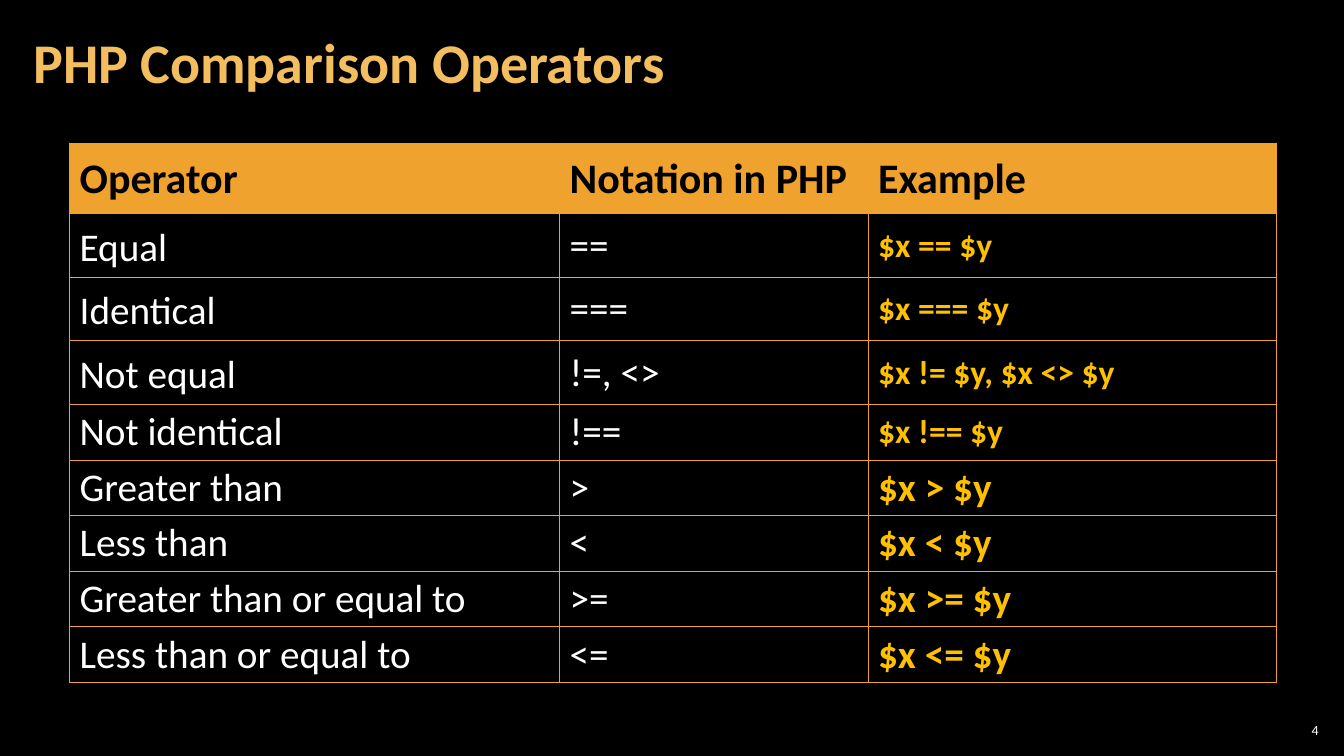
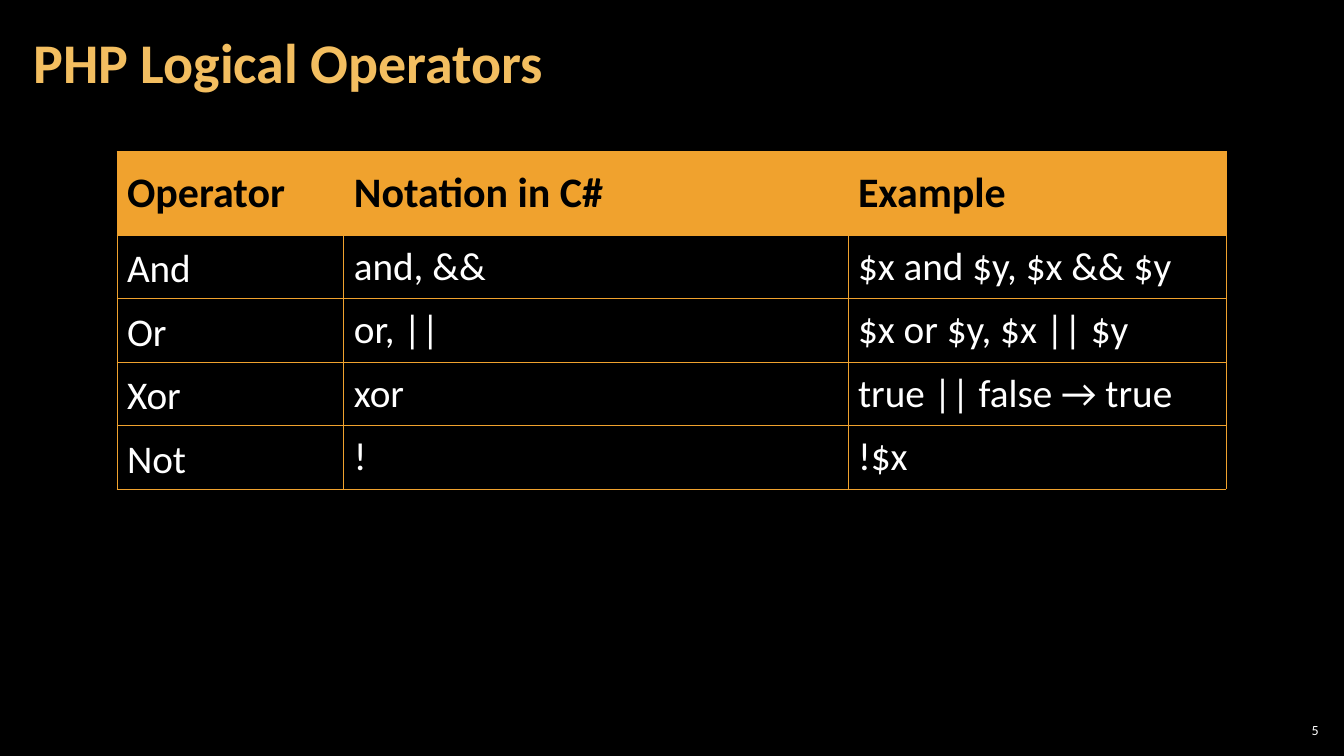
from pptx import Presentation
from pptx.dml.color import RGBColor as RGB
from pptx.enum.text import MSO_ANCHOR as Anchor, MSO_AUTO_SIZE as AutoSize, PP_ALIGN as Align
from pptx.oxml.ns import qn
from pptx.util import Inches, Pt
from lxml.etree import SubElement

FONT = "Calibri"
COLORS = {
    "background": "000000",
    "title": "F3BE60",
    "accent": "F0A22E",
    "header": "000000",
    "body": "FFFFFF",
    "code": "FFC000",
}
TITLE_BOX = (0.21, 0.04, 10.47, 1.21)
NUMBER_BOX = (12.65, 7.14, 0.47, 0.21)
TALL, SHORT = 0.63, 0.55

COMPARISON = {
    "number": 4,
    "title": "PHP Comparison Operators",
    "origin": (0.69, 1.42),
    "columns": (4.86, 3.06, 4.05),
    "header_height": 0.7,
    "tall_rows": 3,
    "small_examples": 4,
    "example_style": ("code", True),
    "rows": [
        ("Operator", "Notation in PHP", "Example"),
        ("Equal", "==", "$x == $y"),
        ("Identical", "===", "$x === $y"),
        ("Not equal", "!=, <>", "$x != $y, $x <> $y"),
        ("Not identical", "!==", "$x !== $y"),
        ("Greater than", ">", "$x > $y"),
        ("Less than", "<", "$x < $y"),
        ("Greater than or equal to", ">=", "$x >= $y"),
        ("Less than or equal to", "<=", "$x <= $y"),
    ],
}
LOGICAL = {
    "number": 5,
    "title": "PHP Logical Operators",
    "origin": (1.16, 1.5),
    "columns": (2.25, 5, 3.75),
    "header_height": 0.83,
    "tall_rows": 4,
    "small_examples": 0,
    "example_style": ("body", False),
    "rows": [
        ("Operator", "Notation in C#", "Example"),
        ("And", "and, &&", "$x and $y, $x && $y"),
        ("Or", "or, ||", "$x or $y, $x || $y"),
        ("Xor", "xor", "true || false → true"),
        ("Not", "!", "!$x"),
    ],
}


def color(name):
    return RGB.from_string(COLORS[name])


def format_run(p, size, color_name, bold=False):
    font = p.runs[0].font
    font.name, font.size, font.bold = FONT, Pt(size), bold
    font.color.rgb = color(color_name)


def set_frame(tf, side, edge):
    tf.word_wrap = True
    tf.auto_size = AutoSize.NONE
    tf.vertical_anchor = Anchor.MIDDLE
    tf.margin_left = tf.margin_right = Inches(side)
    tf.margin_top = tf.margin_bottom = Inches(edge)


def add_title(s, text, box):
    sp = s.shapes.title
    sp.left, sp.top, sp.width, sp.height = map(Inches, box)
    tf = sp.text_frame
    tf.text = text
    set_frame(tf, 0.12, 0.04)
    p = tf.paragraphs[0]
    p.alignment = Align.LEFT
    p.line_spacing = 0.9
    format_run(p, 40, "title", True)


def add_number(s, number, box):
    tf = s.shapes.add_textbox(*map(Inches, box)).text_frame
    tf.text = str(number)
    set_frame(tf, 0.04, 0.04)
    p = tf.paragraphs[0]
    p.alignment = Align.RIGHT
    format_run(p, 10, "body")


def set_borders(cell):
    tc_pr = cell._tc.get_or_add_tcPr()
    for side in ("a:lnL", "a:lnR", "a:lnT", "a:lnB"):
        ln = SubElement(tc_pr, qn(side), w=str(Pt(0.5)))
        fill = SubElement(ln, qn("a:solidFill"))
        SubElement(fill, qn("a:srgbClr"), val=COLORS["accent"])


def fill_cell(cell, text, style, exact):
    size, color_name, bold = style
    set_borders(cell)
    if color_name == "header":
        cell.fill.solid()
        cell.fill.fore_color.rgb = color("accent")
    else:
        cell.fill.background()
    cell.vertical_anchor = Anchor.MIDDLE
    cell.text_frame.text = text
    p = cell.text_frame.paragraphs[0]
    if exact:
        p.line_spacing = Pt(38)
        p.space_before = p.space_after = Pt(6)
    else:
        p.line_spacing = 0.95
        p.space_before = Pt(0.4 * size)
    format_run(p, size, color_name, bold)


def cell_style(data, row, col):
    if row == 0:
        return 30, "header", True
    if col == 2:
        return (24 if row <= data["small_examples"] else 28, *data["example_style"])
    return 28, "body", False


def add_operator_table(s, data):
    rows, columns, tall = data["rows"], data["columns"], data["tall_rows"]
    heights = [data["header_height"]] + [TALL] * tall + [SHORT] * (len(rows) - 1 - tall)
    box = (*data["origin"], sum(columns), sum(heights))
    table = s.shapes.add_table(len(rows), len(columns), *map(Inches, box)).table
    table.horz_banding = False
    for column, width in zip(table.columns, columns):
        column.width = Inches(width)
    for i, texts in enumerate(rows):
        table.rows[i].height = Inches(heights[i])
        for j, text in enumerate(texts):
            exact = j == 0 and 1 <= i <= tall
            fill_cell(table.cell(i, j), text, cell_style(data, i, j), exact)


def add_operator_slide(prs, data):
    s = prs.slides.add_slide(prs.slide_layouts[5])
    add_number(s, data["number"], NUMBER_BOX)
    add_title(s, data["title"], TITLE_BOX)
    add_operator_table(s, data)


def main():
    prs = Presentation()
    prs.slide_width, prs.slide_height = Inches(13.33), Inches(7.5)
    background = prs.slide_master.background.fill
    background.solid()
    background.fore_color.rgb = color("background")
    for data in (COMPARISON, LOGICAL):
        add_operator_slide(prs, data)
    prs.save("out.pptx")


if __name__ == "__main__":
    main()
